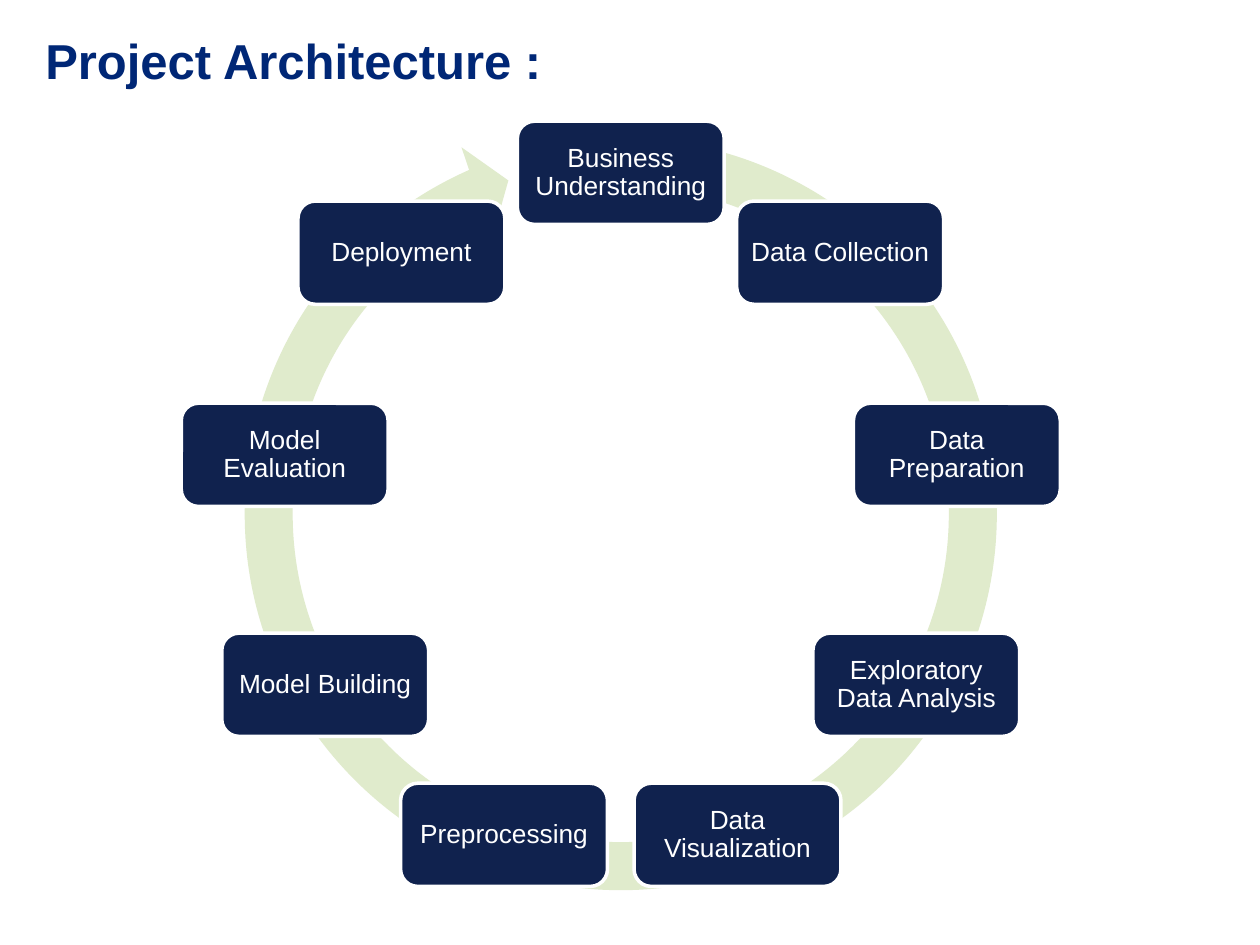
from math import cos, radians, sin

from pptx import Presentation
from pptx.dml.color import RGBColor
from pptx.enum.shapes import MSO_SHAPE
from pptx.enum.text import MSO_ANCHOR, MSO_AUTO_SIZE, PP_ALIGN
from pptx.util import Cm, Pt

ROUNDED = MSO_SHAPE.ROUNDED_RECTANGLE
CIRCULAR_ARROW = MSO_SHAPE.CIRCULAR_ARROW
TOP, MIDDLE = MSO_ANCHOR.TOP, MSO_ANCHOR.MIDDLE
LEFT, CENTER = PP_ALIGN.LEFT, PP_ALIGN.CENTER
NO_FIT = MSO_AUTO_SIZE.NONE

TITLE_BLUE = RGBColor(0x00, 0x27, 0x76)
NAVY = RGBColor(0x10, 0x22, 0x4E)
PALE_GREEN = RGBColor(0xE0, 0xEB, 0xCC)
WHITE = RGBColor(0xFF, 0xFF, 0xFF)

TITLE_BOX = (Cm(0.66), Cm(0.48), Cm(17.04), Cm(1.45))
CYCLE_BOX = (Cm(4.45), Cm(2.3), Cm(16.13), Cm(16.13))
STEP_WIDTH, STEP_HEIGHT = Cm(4.17), Cm(2.08)
STEP_RADIUS = Cm(6.88)
STEP_MARGIN = Cm(0.15)
ARROW_ADJUSTMENTS = (0.06, 3.31, 147.52, 168.16, 0.06)

STEPS = (
    "Business Understanding",
    "Data Collection",
    "Data Preparation",
    "Exploratory Data Analysis",
    "Data Visualization",
    "Preprocessing",
    "Model Building",
    "Model Evaluation",
    "Deployment",
)


def style_text(para, size, color, alignment):
    para.alignment = alignment
    para.font.name = "Arial"
    para.font.size = Pt(size)
    para.font.color.rgb = color


def place_title(page, box, text):
    title = page.shapes.title
    title.left, title.top, title.width, title.height = box
    frame = title.text_frame
    frame.text = text
    frame.auto_size = NO_FIT
    frame.vertical_anchor = TOP
    para = frame.paragraphs[0]
    style_text(para, 28, TITLE_BLUE, LEFT)
    para.font.bold = True


def add_step(page, box, text):
    step = page.shapes.add_shape(ROUNDED, *box)
    step.shadow.inherit = False
    step.fill.solid()
    step.fill.fore_color.rgb = NAVY
    step.line.color.rgb = WHITE
    step.line.width = Pt(2)
    frame = step.text_frame
    frame.text = text
    frame.word_wrap = True
    frame.vertical_anchor = MIDDLE
    frame.margin_left = frame.margin_right = STEP_MARGIN
    frame.margin_top = frame.margin_bottom = STEP_MARGIN
    para = frame.paragraphs[0]
    style_text(para, 15, WHITE, CENTER)
    para.line_spacing = 0.9


def add_cycle(page, box, labels):
    left, top, width, height = box
    arrow = page.shapes.add_shape(CIRCULAR_ARROW, *box)
    arrow.shadow.inherit = False
    arrow.fill.solid()
    arrow.fill.fore_color.rgb = PALE_GREEN
    arrow.line.fill.background()
    for index, value in enumerate(ARROW_ADJUSTMENTS):
        arrow.adjustments[index] = value

    for index, label in enumerate(labels):
        angle = radians(360 * index / len(labels))
        center_x = left + width / 2 + STEP_RADIUS * sin(angle)
        center_y = top + height / 2 - STEP_RADIUS * cos(angle)
        step_left = round(center_x - STEP_WIDTH / 2)
        step_top = round(center_y - STEP_HEIGHT / 2)
        add_step(page, (step_left, step_top, STEP_WIDTH, STEP_HEIGHT), label)


def main():
    deck = Presentation()
    deck.slide_width, deck.slide_height = Cm(25.4), Cm(19.05)
    page = deck.slides.add_slide(deck.slide_layouts[5])
    place_title(page, TITLE_BOX, "Project Architecture :")
    add_cycle(page, CYCLE_BOX, STEPS)
    deck.save("out.pptx")


if __name__ == "__main__":
    main()
